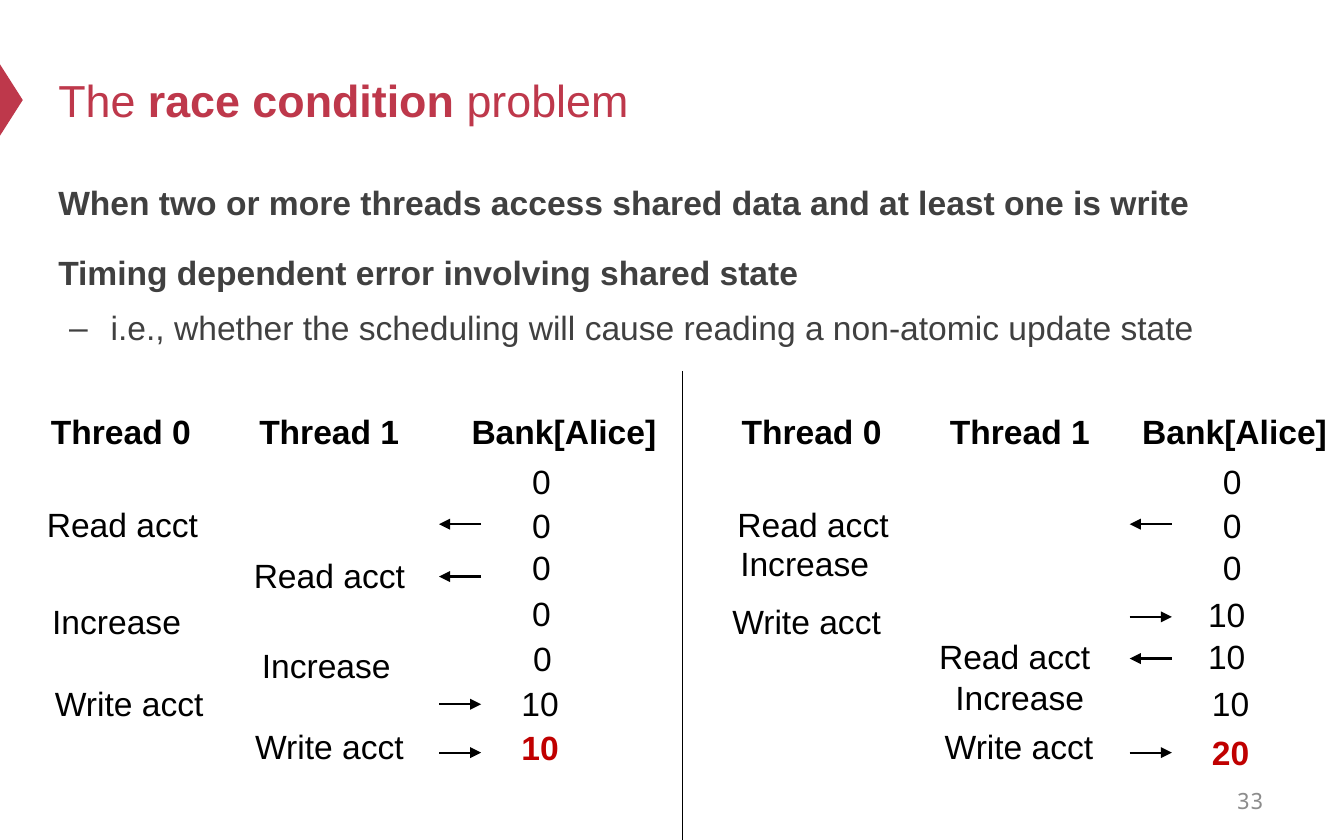
from lxml import etree
from pptx import Presentation
from pptx.dml.color import RGBColor
from pptx.enum import shapes, text
from pptx.oxml import ns
from pptx.util import Pt

COLORS = {
    "accent": "BE384B",
    "body": "404040",
    "label": "000000",
    "result": "C00000",
    "number": "8C8C8C",
}
FONT = "Arial"
LABEL_HEIGHT = 29
LABEL_WIDTHS = {
    "Thread 0": 90, "Thread 1": 90, "Bank[Alice]": 114.5,
    "Read acct": 96.5, "Increase": 89.3, "Write acct": 95,
    "0": 24.5, "10": 34.5, "20": 34.5,
}
HEADER_TOP = 216.7
ARROW_LEFT, ARROW_RIGHT = 235.2, 257.8

# Label positions are (text, left, top), with left measured from the schedule's origin.
INTERLEAVED = {
    "origin": 0,
    "bank_left": 245.5,
    "steps": [
        ("Read acct", 18, 266.4), ("Read acct", 128.9, 293.8),
        ("Increase", 20.9, 318.2), ("Increase", 133.2, 342),
        ("Write acct", 22.3, 362.2), ("Write acct", 129.6, 385.2),
    ],
    "balances": [
        ("0", 278, 243.4), ("0", 278, 267.1), ("0", 278, 289.4),
        ("0", 278, 313.9), ("0", 278.6, 338.4), ("10", 272.2, 362.2),
        ("10", 272.2, 386),
    ],
    "reads": [280.8, 308.9],
    "writes": [377.3, 403.2],
}
SEQUENTIAL = {
    "origin": 370,
    "bank_left": 234.8,
    "steps": [
        ("Read acct", 18, 266.4), ("Increase", 19.5, 287.3),
        ("Write acct", 15.2, 318.2), ("Read acct", 126, 337),
        ("Increase", 134.7, 359.3), ("Write acct", 129, 385.2),
    ],
    "balances": [
        ("0", 278, 243.4), ("0", 278, 267.1), ("0", 278, 289.4),
        ("10", 270.1, 314.6), ("10", 270.1, 337), ("10", 272.2, 362.2),
        ("20", 272.2, 388.8),
    ],
    "reads": [280.8, 352.8],
    "writes": [330.5, 403.2],
}


def color(name):
    return RGBColor.from_string(COLORS[name])


def add_run(paragraph, words, size, color_name, bold=False, font=FONT):
    run = paragraph.add_run()
    run.text = words
    run.font.name = font
    run.font.size = Pt(size)
    run.font.bold = bold
    run.font.color.rgb = color(color_name)


def place(shape, left, top, width, height):
    shape.left, shape.top = Pt(left), Pt(top)
    shape.width, shape.height = Pt(width), Pt(height)


def fill_title(title):
    place(title, 24, 18, 648, 70.5)
    frame = title.text_frame
    frame.auto_size = text.MSO_AUTO_SIZE.NONE
    frame.vertical_anchor = text.MSO_ANCHOR.MIDDLE
    paragraph = frame.paragraphs[0]
    paragraph.alignment = text.PP_ALIGN.LEFT
    add_run(paragraph, "The ", 24, "accent")
    add_run(paragraph, "race condition ", 24, "accent", bold=True)
    add_run(paragraph, "problem", 24, "accent")


def set_bullet(paragraph, character=None, margin=0, indent=0):
    properties = paragraph._p.get_or_add_pPr()
    properties.set("marL", str(Pt(margin)))
    properties.set("indent", str(Pt(indent)))
    if character:
        bullet = etree.SubElement(properties, ns.qn("a:buChar"))
        bullet.set("char", character)
    else:
        etree.SubElement(properties, ns.qn("a:buNone"))


def fill_body(body):
    place(body, 24, 89.3, 648, 136)
    frame = body.text_frame
    frame.auto_size = text.MSO_AUTO_SIZE.NONE
    frame.vertical_anchor = text.MSO_ANCHOR.TOP
    lines = [
        ("When two or more threads access shared data and at least one is write", 0, 0),
        ("Timing dependent error involving shared state", 0, 12),
        ("i.e., whether the scheduling will cause reading a non-atomic update state", 1, 3.6),
    ]
    for index, (words, level, space) in enumerate(lines):
        paragraph = frame.add_paragraph() if index else frame.paragraphs[0]
        paragraph.level = level
        paragraph.line_spacing = 1.2
        paragraph.space_before = Pt(space)
        if level:
            set_bullet(paragraph, "–", 28.1, -22.3)
        else:
            set_bullet(paragraph)
        add_run(paragraph, words, 18, "body", bold=level == 0)


def add_marker(slide):
    marker = slide.shapes.add_shape(
        shapes.MSO_SHAPE.ISOSCELES_TRIANGLE, Pt(-13), Pt(47.5), Pt(38.2), Pt(12.2))
    marker.rotation = 90
    marker.shadow.inherit = False
    marker.fill.solid()
    marker.fill.fore_color.rgb = color("accent")
    marker.line.fill.background()


def add_label(slide, words, left, top, color_name="label", bold=False):
    box = slide.shapes.add_textbox(
        Pt(left), Pt(top), Pt(LABEL_WIDTHS[words]), Pt(LABEL_HEIGHT))
    box.text_frame.word_wrap = False
    add_run(box.text_frame.paragraphs[0], words, 18, color_name, bold)


def add_line(slide, start, end, width, arrow=False):
    line = slide.shapes.add_connector(
        shapes.MSO_CONNECTOR.STRAIGHT, *(Pt(value) for value in (*start, *end)))
    line.line.width = Pt(width)
    line.line.color.rgb = color("label")
    if arrow:
        tail = etree.SubElement(line.line._get_or_add_ln(), ns.qn("a:tailEnd"))
        tail.set("type", "triangle")
    etree.SubElement(line._element.spPr, ns.qn("a:effectLst"))


def add_schedule(slide, schedule):
    """Draw one ordering of the two threads with the balance after each step."""
    origin = schedule["origin"]
    headers = [("Thread 0", 20.2), ("Thread 1", 131.8), ("Bank[Alice]", schedule["bank_left"])]
    for words, left in headers:
        add_label(slide, words, origin + left, HEADER_TOP, bold=True)
    *balances, (result, result_left, result_top) = schedule["balances"]
    for words, left, top in schedule["steps"] + balances:
        add_label(slide, words, origin + left, top)
    add_label(slide, result, origin + result_left, result_top, "result", bold=True)
    left, right = origin + ARROW_LEFT, origin + ARROW_RIGHT
    for y in schedule["reads"]:
        add_line(slide, (right, y), (left, y), 1.2, arrow=True)
    for y in schedule["writes"]:
        add_line(slide, (left, y), (right, y), 1.2, arrow=True)


def add_slide_number(slide):
    box = slide.shapes.add_textbox(Pt(516), Pt(417), Pt(168), Pt(24))
    box.text_frame.word_wrap = True
    box.text_frame.vertical_anchor = text.MSO_ANCHOR.MIDDLE
    paragraph = box.text_frame.paragraphs[0]
    paragraph.alignment = text.PP_ALIGN.RIGHT
    add_run(paragraph, "33", 12, "number", font="Noto Sans Mono")


def main():
    presentation = Presentation()
    presentation.slide_width, presentation.slide_height = Pt(720), Pt(450)
    slide = presentation.slides.add_slide(presentation.slide_layouts[1])
    fill_title(slide.shapes.title)
    fill_body(slide.placeholders[1])
    add_marker(slide)
    add_slide_number(slide)
    add_schedule(slide, INTERLEAVED)
    add_line(slide, (365.8, 198.7), (365.8, 450), 0.75)
    add_schedule(slide, SEQUENTIAL)
    presentation.save("out.pptx")


if __name__ == "__main__":
    main()
